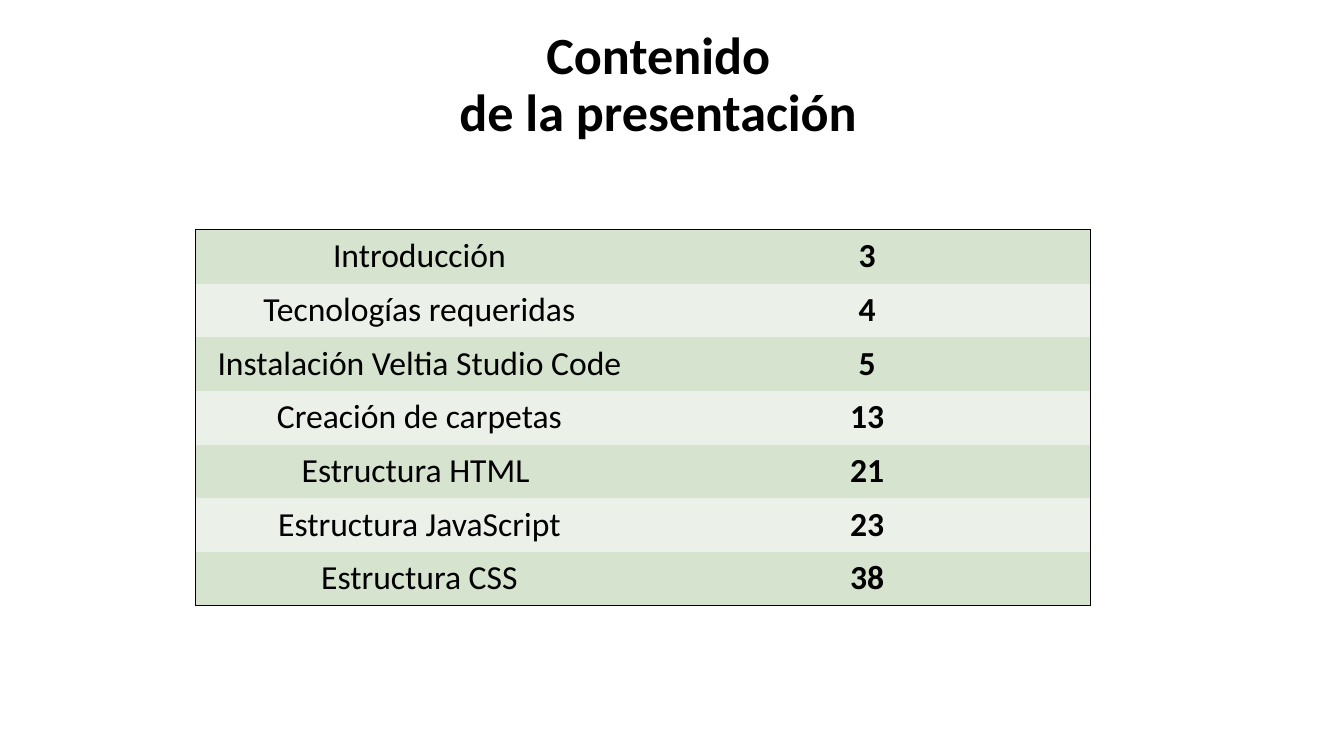
from dataclasses import dataclass

from lxml import etree
from pptx import Presentation
from pptx import util as u
from pptx.dml.color import RGBColor
from pptx.enum import text
from pptx.oxml import ns


@dataclass(frozen=True)
class Theme:
    font: str = "Calibri"
    ink: str = "000000"
    bands: tuple = ("D5E3CF", "EBF1E9")
    title_size: float = 37.3
    body_size: float = 24
    border: float = 1


THEME = Theme()
TITLE_LINES = ("Contenido", "de la presentación")
CONTENTS = (
    ("Introducción", "3"),
    ("Tecnologías requeridas", "4"),
    ("Instalación Veltia Studio Code", "5"),
    ("Creación de carpetas", "13"),
    ("Estructura HTML ", "21"),
    ("Estructura JavaScript", "23"),
    ("Estructura CSS", "38"),
)


def write_line(paragraph, words, size, bold):
    paragraph.alignment = text.PP_ALIGN.CENTER
    run = paragraph.add_run()
    run.text = words
    run.font.name = THEME.font
    run.font.size = u.Pt(size)
    run.font.bold = bold
    run.font.color.rgb = RGBColor.from_string(THEME.ink)


def set_borders(cell, visible):
    """Draw the sides named in visible; clear the others."""
    properties = cell._tc.get_or_add_tcPr()
    for side in "LRTB":
        line = etree.SubElement(properties, ns.qn(f"a:ln{side}"))
        if side in visible:
            line.set("w", str(u.Pt(THEME.border)))
            fill = etree.SubElement(line, ns.qn("a:solidFill"))
            etree.SubElement(fill, ns.qn("a:srgbClr"), val=THEME.ink)
        else:
            line.set("w", "0")
            etree.SubElement(line, ns.qn("a:noFill"))


def add_title(slide, left, top, width, height):
    frame = slide.shapes.add_textbox(left, top, width, height).text_frame
    frame.word_wrap = True
    frame.vertical_anchor = text.MSO_ANCHOR.MIDDLE
    for index, words in enumerate(TITLE_LINES):
        paragraph = frame.add_paragraph() if index else frame.paragraphs[0]
        paragraph.line_spacing = 0.9
        write_line(paragraph, words, THEME.title_size, True)


def add_contents(slide, left, top, width, height):
    last_row, last_column = len(CONTENTS) - 1, len(CONTENTS[0]) - 1
    table = slide.shapes.add_table(
        last_row + 1, last_column + 1, left, top, width, height).table
    table.first_row = False
    table.horz_banding = False

    for row, entry in enumerate(CONTENTS):
        for column, words in enumerate(entry):
            cell = table.cell(row, column)
            cell.margin_left = cell.margin_right = u.Inches(0.13)
            cell.margin_top = cell.margin_bottom = u.Inches(0.06)
            write_line(cell.text_frame.paragraphs[0], words,
                       THEME.body_size, column == last_column)

            # Only the outer frame of the table is drawn
            edges = {"L": column == 0, "R": column == last_column,
                     "T": row == 0, "B": row == last_row}
            set_borders(cell, [side for side, outer in edges.items() if outer])
            cell.fill.solid()
            band = THEME.bands[row % len(THEME.bands)]
            cell.fill.fore_color.rgb = RGBColor.from_string(band)


def main():
    deck = Presentation()
    deck.slide_width, deck.slide_height = u.Inches(13.33), u.Inches(7.5)
    slide = deck.slides.add_slide(deck.slide_layouts[6])

    # Title above, table of contents below
    add_title(slide, u.Inches(0.78), u.Inches(0.24),
              u.Inches(11.5), u.Inches(1.23))
    add_contents(slide, u.Inches(1.94), u.Inches(2.28),
                 u.Inches(8.88), u.Inches(3.73))
    deck.save("out.pptx")


if __name__ == "__main__":
    main()
